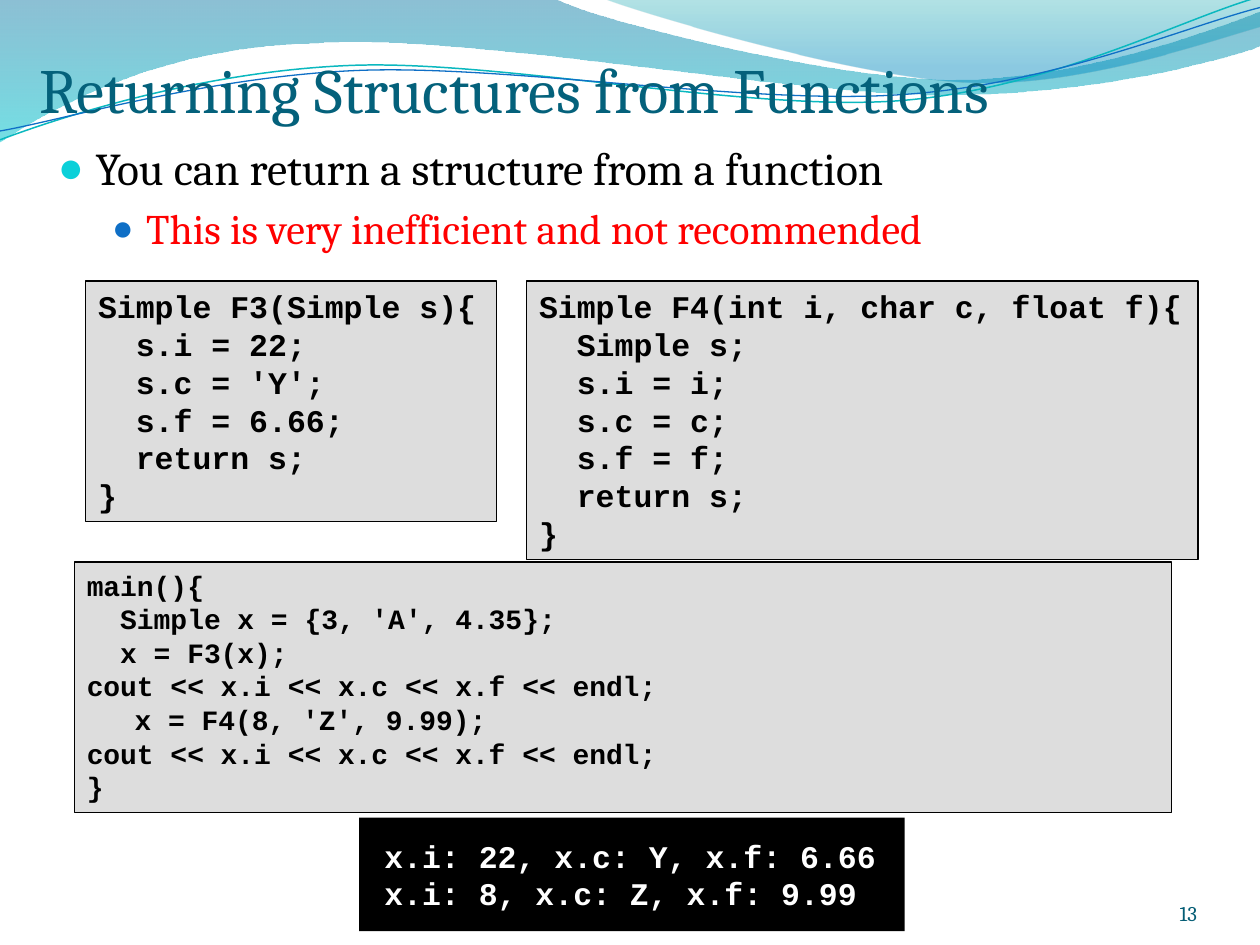
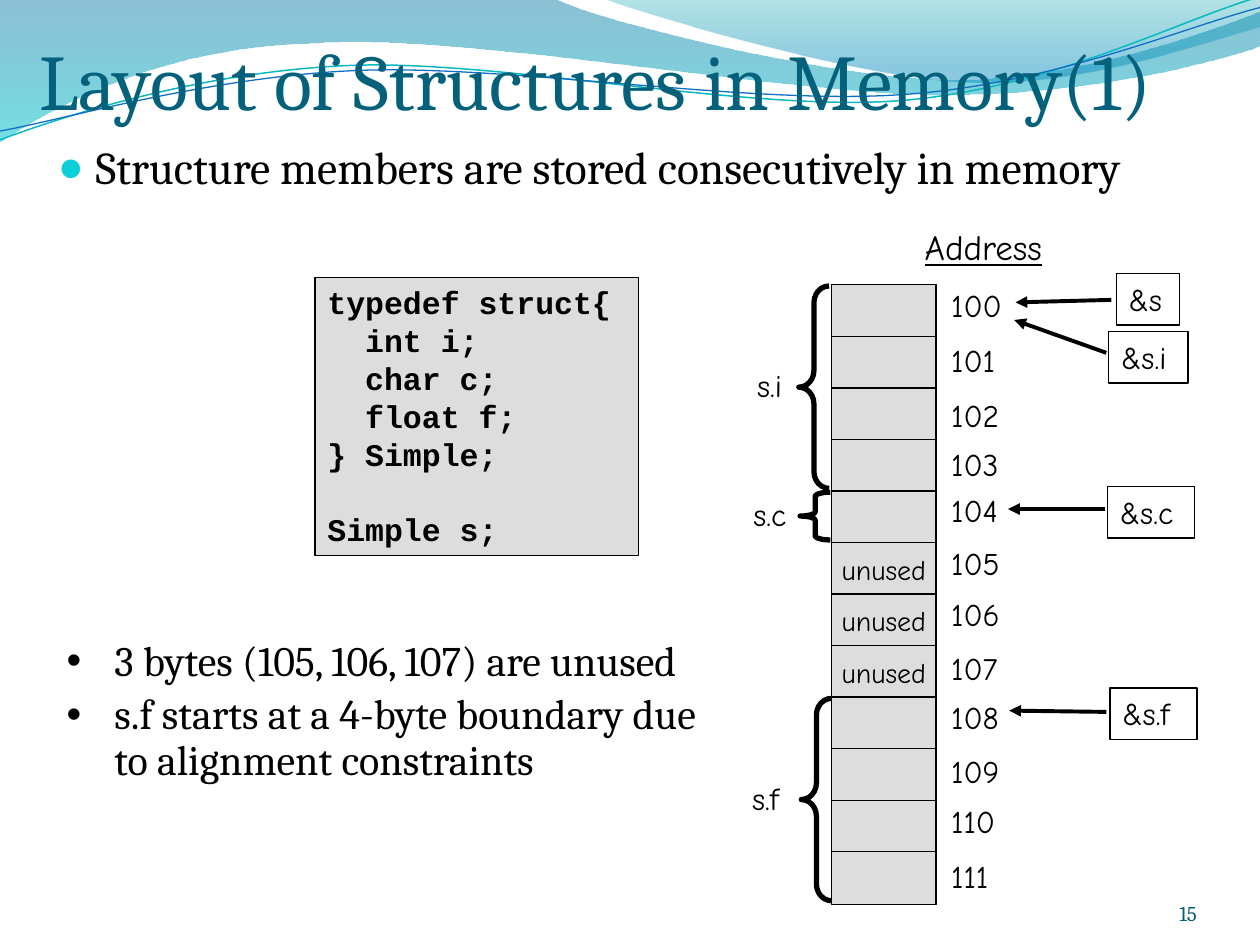
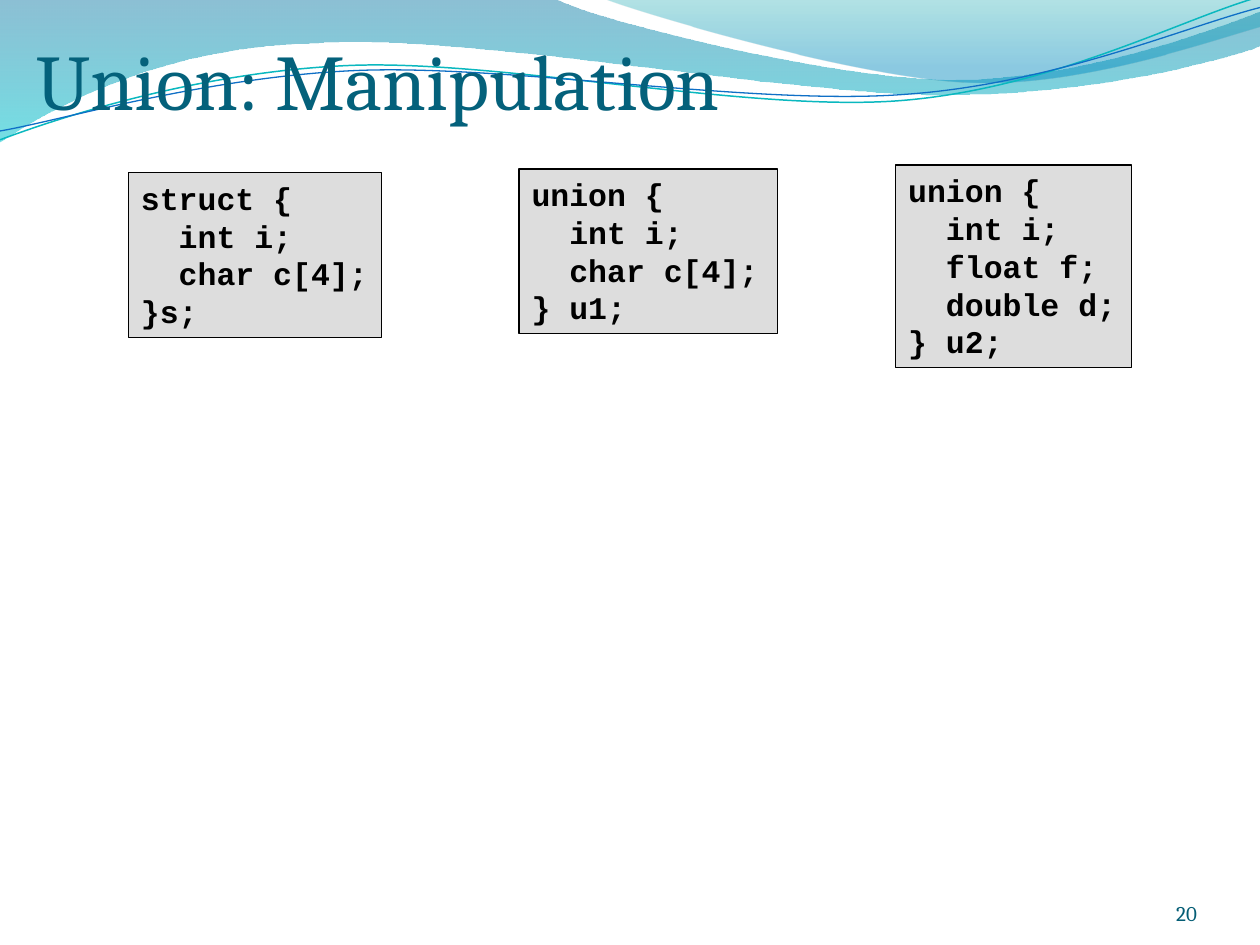
import math

from lxml import etree
from pptx import Presentation
from pptx.dml.color import RGBColor
from pptx.enum.shapes import MSO_CONNECTOR, MSO_SHAPE
from pptx.enum.text import MSO_ANCHOR, MSO_AUTO_SIZE, PP_ALIGN
from pptx.oxml.ns import qn
from pptx.util import Inches, Pt

RECTANGLE, LEFT_BRACE = MSO_SHAPE.RECTANGLE, MSO_SHAPE.LEFT_BRACE
STRAIGHT = MSO_CONNECTOR.STRAIGHT
LEFT, CENTER, RIGHT = PP_ALIGN.LEFT, PP_ALIGN.CENTER, PP_ALIGN.RIGHT
TOP, MIDDLE, BOTTOM = MSO_ANCHOR.TOP, MSO_ANCHOR.MIDDLE, MSO_ANCHOR.BOTTOM
NO_FIT, GROW = MSO_AUTO_SIZE.NONE, MSO_AUTO_SIZE.SHAPE_TO_FIT_TEXT

SERIF, CODE, HAND = "Cambria", "Courier New", "Comic Neue"
BLACK, WHITE, GRAY, RED = "000000", "FFFFFF", "DDDDDD", "FF0000"
TITLE_COLOR, NUMBER_COLOR = "04617B", "045D75"
AQUA, BLUE = "0BD0D9", "0F6FC6"
INSETS = (0.1, 0.05, 0.1, 0.05)
HANGING = (0.38, -0.38)
TITLE_ONLY, TITLE_AND_BODY = 5, 1
CURVE_TILT = 357.3

# Waves: a start point, then straight (2 numbers) or cubic (6 numbers) steps
BACK_WAVE = [(0, 0), (4.4, -0.01), (4.76, 0.17, 6.64, 0.63, 7.58, 0.63),
             (8.53, 0.63, 9.58, 0.26, 10, 0.09), (10.01, 0.36),
             (9.83, 0.44, 8.7, 0.76, 7.46, 0.75),
             (6.22, 0.75, 3.82, 0.28, 2.57, 0.34),
             (1.29, 0.36, 0.46, 0.83, -0.01, 1.13), (0, 0)]
FRONT_WAVE = [(4.79, -0.01), (5.09, 0.11, 6.82, 0.62, 7.69, 0.65),
              (8.56, 0.69, 9.61, 0.32, 10, 0.21), (10, 0), (4.79, -0.01)]
AQUA_CURVE = [(0, 1.11), (0.48, 0.93, 1.58, 0.57, 2.77, 0.52),
              (3.95, 0.47, 5.93, 0.89, 7.13, 0.8),
              (8.33, 0.71, 9.38, 0.15, 9.98, -0.02)]
BLUE_CURVE = [(0, 1.04), (0.47, 0.96, 1.64, 0.61, 2.83, 0.56),
              (4.03, 0.51, 5.97, 0.84, 7.17, 0.75),
              (8.36, 0.67, 9.41, 0.21, 10, 0.06)]


def color(value):
    return RGBColor.from_string(value)


def inches(values):
    return [Inches(value) for value in values]


def place(shape, box):
    shape.left, shape.top, shape.width, shape.height = inches(box)


def set_indent(paragraph, margin, first):
    properties = paragraph._p.get_or_add_pPr()
    properties.set("marL", str(Inches(margin)))
    properties.set("indent", str(Inches(first)))


def set_bullet(paragraph, mark, bullet_color=BLACK, percent=100):
    properties = paragraph._p.get_or_add_pPr()
    holder = etree.SubElement(properties, qn("a:buClr"))
    etree.SubElement(holder, qn("a:srgbClr"), val=bullet_color)
    etree.SubElement(properties, qn("a:buSzPct"), val=str(percent * 1000))
    etree.SubElement(properties, qn("a:buFont"), typeface="Arial")
    etree.SubElement(properties, qn("a:buChar"), char=mark)


def write_text(shape, lines, font=SERIF, size=18, ink=BLACK, bold=False,
               underline=False, align=LEFT, anchor=TOP, insets=INSETS,
               wrap=True, fit=NO_FIT, indent=None, before=0, spacing=None):
    frame = shape.text_frame
    frame.word_wrap, frame.auto_size, frame.vertical_anchor = wrap, fit, anchor
    (frame.margin_left, frame.margin_top,
     frame.margin_right, frame.margin_bottom) = inches(insets)
    frame.text = "\n".join(lines)
    for paragraph in frame.paragraphs:
        paragraph.alignment = align
        paragraph.space_before = Pt(before)
        if spacing:
            paragraph.line_spacing = spacing
        if indent:
            set_indent(paragraph, *indent)
        for run in paragraph.runs:
            run.font.name, run.font.size = font, Pt(size)
            run.font.bold, run.font.underline = bold, underline
            run.font.color.rgb = color(ink)
    return frame.paragraphs


# Basic parts: the parent is a slide or a group
def add_panel(parent, box, kind=RECTANGLE, fill=None, line=BLACK, width=0.75):
    shape = parent.shapes.add_shape(kind, *inches(box))
    shape.shadow.inherit = False
    if fill:
        shape.fill.solid()
        shape.fill.fore_color.rgb = color(fill)
    else:
        shape.fill.background()
    if line:
        shape.line.color.rgb = color(line)
        shape.line.width = Pt(width)
    else:
        shape.line.fill.background()
    return shape


def add_label(parent, box, text, **text_format):
    label = parent.shapes.add_textbox(*inches(box))
    return write_text(label, [text], **text_format)


def add_arrow(parent, start, end):
    arrow = parent.shapes.add_connector(STRAIGHT, *inches(start + end))
    arrow.line.color.rgb = color(BLACK)
    arrow.line.width = Pt(2.25)
    properties = arrow._element.spPr
    etree.SubElement(properties.find(qn("a:ln")), qn("a:tailEnd"), type="triangle")
    etree.SubElement(properties, qn("a:effectLst"))


# Wave decoration, shared through the slide master
def add_outline(parent, steps, closed):
    anchors = [inches(step[-2:]) for step in steps]
    builder = parent.shapes.build_freeform(*anchors[0], scale=1.0)
    builder.add_line_segments(anchors[1:], close=closed)
    shape = builder.convert_to_shape()
    shape.shadow.inherit = False
    segments = list(shape._element.spPr.iter(qn("a:lnTo")))
    for segment, step in zip(segments, steps[1:]):
        if len(step) == 6:
            segment.tag = qn("a:cubicBezTo")
            for index, start in enumerate((0, 2)):
                x, y = inches(step[start:start + 2])
                point = etree.Element(qn("a:pt"), x=str(x - shape.left),
                                      y=str(y - shape.top))
                segment.insert(index, point)
    return shape


def add_wave(parent, steps, stops):
    shape = add_outline(parent, steps, True)
    shape.line.fill.background()
    shape.fill.gradient()
    shape.fill.gradient_angle = 270
    for stop, (position, value, _) in zip(shape.fill.gradient_stops, stops):
        stop.position = position
        stop.color.rgb = color(value)
    for node, (_, _, opacity) in zip(shape._element.spPr.iter(qn("a:srgbClr")), stops):
        etree.SubElement(node, qn("a:alpha"), val=str(opacity * 1000))
    return shape


def level_step(step, center):
    """Turn a step back by the tilt, so that the rotated shape lands on it."""
    angle = math.radians(360 - CURVE_TILT)
    sine, cosine = math.sin(angle), math.cos(angle)
    leveled = []
    for x, y in zip(step[::2], step[1::2]):
        across, down = x - center[0], y - center[1]
        leveled += [center[0] + across * cosine - down * sine,
                    center[1] + across * sine + down * cosine]
    return leveled


def add_curve(parent, steps, center, line, width):
    shape = add_outline(parent, [level_step(step, center) for step in steps], False)
    shape.rotation = CURVE_TILT
    shape.fill.background()
    shape.line.color.rgb = color(line)
    shape.line.width = Pt(width)


def decorate_master(presentation, slide):
    back = add_wave(slide, BACK_WAVE, [(0, "0074A1", 45), (1, "00C6CF", 55)])
    front = add_wave(slide, FRONT_WAVE, [(0, "00A1A9", 30), (0.8, "008BBF", 45)])
    curves = slide.shapes.add_group_shape()
    add_curve(curves, AQUA_CURVE, (4.99, 0.57), "0AB8BF", 0.85)
    add_curve(curves, BLUE_CURVE, (5, 0.59), BLUE, 0.75)
    tree = presentation.slide_master.shapes._spTree
    identity = 101
    for index, part in enumerate((back, front, curves)):
        for properties in part._element.iter(qn("p:cNvPr")):
            properties.set("id", str(identity))
            identity += 1
        tree.insert(2 + index, part._element)


# Slide frame: title and number
def add_slide(presentation, layout, title, number, box, size=45):
    slide = presentation.slides.add_slide(presentation.slide_layouts[layout])
    place(slide.shapes.title, box)
    write_text(slide.shapes.title, [title], size=size, ink=TITLE_COLOR,
               anchor=BOTTOM, insets=(0, 0.05, 0, 0))
    add_label(slide, (8.67, 6.95, 0.83, 0.4), str(number), size=12,
              ink=NUMBER_COLOR, align=RIGHT, anchor=BOTTOM, insets=(0, 0, 0, 0))
    return slide


def fill_body(slide, box, lines, spacing=None):
    body = slide.placeholders[1]
    place(body, box)
    paragraphs = write_text(body, lines, size=26, indent=(0.3, -0.3),
                            before=5.2, spacing=spacing)
    set_bullet(paragraphs[0], "●", AQUA, 95)
    for paragraph in paragraphs[1:]:
        paragraph.level = 1
        paragraph.space_before = Pt(4.8)
        set_indent(paragraph, 0.7, -0.27)
        set_bullet(paragraph, "●", BLUE, 85)
        paragraph.runs[0].font.size = Pt(24)
        paragraph.runs[0].font.color.rgb = color(RED)


def add_code(slide, box, lines, size=18):
    panel = add_panel(slide, box, fill=GRAY)
    return write_text(panel, lines, font=CODE, size=size, bold=True,
                      indent=HANGING, fit=GROW)


def add_console(slide, box, lines):
    panel = add_panel(slide, box, fill=BLACK, line=None)
    write_text(panel, lines, font=CODE, ink=WHITE, bold=True, fit=GROW,
               insets=(0.2, 0.15, 0.2, 0.15))


# Memory map: byte cells, addresses, member braces and pointers
def add_memory_map(slide, box):
    left, top, width, height = box
    group = slide.shapes.add_group_shape()
    first, unused, cell_height = 100, (105, 106, 107), 0.42
    address_tops = [-0.04, 0.4, 0.83, 1.22, 1.59, 2.01,
                    2.41, 2.84, 3.23, 3.66, 4.06, 4.49]
    pitch = (height - cell_height) / (len(address_tops) - 1)
    hand = {"font": HAND, "wrap": False}
    heading = (left + 0.56, top - 0.52, 1.29, 0.43)
    add_label(group, heading, "Address", size=20, underline=True,
              align=CENTER, fit=GROW, **hand)
    for row, address_top in enumerate(address_tops):
        address = first + row
        cell = add_panel(group, (left, top + row * pitch, width, cell_height), fill=GRAY)
        if address in unused:
            write_text(cell, ["unused"], size=16, align=CENTER, anchor=MIDDLE, **hand)
        add_label(group, (left + 0.85, top + address_top, 0.62, 0.4), str(address),
                  fit=GROW, **hand)

    # Member name, label offset and width, first row, rows, brace offset and curvature
    members = [("s.i", 0.69, 0.45, 0, 4, 0.26, 0.55),
               ("s.c", 0.72, 0.51, 4, 1, 0.25, 0.14),
               ("s.f", 0.73, 0.51, 8, 4, 0.24, 0.55)]
    for name, offset, label_width, row, rows, brace_offset, curvature in members:
        y, span = top + row * pitch, rows * pitch
        brace = add_panel(group, (left - brace_offset, y + 0.01, 0.24, span - 0.03),
                          kind=LEFT_BRACE, width=3)
        brace.adjustments[0], brace.adjustments[1] = curvature, 0.5
        add_label(group, (left - offset, y + span / 2 - 0.22, label_width, 0.4), name,
                  fit=GROW, **hand)

    # Pointer name, box, arrow start and end, all from the map's corner
    pointers = [("&s", (2.26, -0.09, 0.5), (2.22, 0.12), (1.46, 0.14)),
                ("&s.i", (2.2, 0.37, 0.63), (2.18, 0.54), (1.45, 0.28)),
                ("&s.c", (2.19, 1.6, 0.69), (2.17, 1.78), (1.4, 1.78)),
                ("&s.f", (2.21, 3.2, 0.69), (2.18, 3.39), (1.41, 3.38))]
    for name, (x, y, box_width), start, end in pointers:
        panel = add_panel(group, (left + x, top + y, box_width, 0.41))
        write_text(panel, [name], fit=GROW, **hand)
        add_arrow(group, (left + start[0], top + start[1]),
                  (left + end[0], top + end[1]))


def build_returning_slide(presentation):
    slide = add_slide(presentation, TITLE_AND_BODY, "Returning Structures from Functions",
                      13, (0.31, 0.24, 9.5, 0.76), size=36)
    fill_body(slide, (0.36, 1.06, 9.24, 1.02),
              ["You can return a structure from a function",
               "This is very inefficient and not recommended"])
    show = "cout << x.i << x.c << x.f << endl;"
    main = add_code(slide, (0.59, 4.46, 8.71, 1.99),
                    ["main(){", "  Simple x = {3, 'A', 4.35};", "  x = F3(x);", show,
                     "x = F4(8, 'Z', 9.99);", show, "}"], size=16)
    set_indent(main[4], 0.38, 0)
    add_console(slide, (2.85, 6.49, 4.33, 0.9),
                ["x.i: 22, x.c: Y, x.f: 6.66", "x.i: 8, x.c: Z, x.f: 9.99"])
    add_code(slide, (0.68, 2.23, 3.26, 1.91),
             ["Simple F3(Simple s){", "  s.i = 22;", "  s.c = 'Y';",
              "  s.f = 6.66;", "  return s;", "}"])
    add_code(slide, (4.18, 2.23, 5.33, 2.21),
             ["Simple F4(int i, char c, float f){", "  Simple s;", "  s.i = i;",
              "  s.c = c;", "  s.f = f;", "  return s;", "}"])
    return slide


def build_layout_slide(presentation):
    slide = add_slide(presentation, TITLE_AND_BODY, "Layout of Structures in Memory(1)",
                      15, (0.31, 0.24, 9.43, 0.76))
    fill_body(slide, (0.36, 1.1, 9.21, 0.99),
              ["Structure members are stored consecutively in memory"], spacing=0.9)
    code = add_code(slide, (2.5, 2.2, 2.57, 2.21),
                    ["typedef struct{", "  int i;", "  char c;", "  float f;",
                     "} Simple;", "Simple s;"])
    code[-1].space_before = Pt(21.6)
    remarks = slide.shapes.add_textbox(*inches((0.43, 5.03, 5.45, 2.14)))
    for paragraph in write_text(
            remarks, ["3 bytes (105, 106, 107) are unused",
                      "s.f starts at a 4-byte boundary due to alignment constraints"],
            size=24, indent=HANGING, before=4.8, spacing=0.9):
        set_bullet(paragraph, "•")
    add_memory_map(slide, (6.6, 2.26, 0.83, 4.92))


def build_union_slide(presentation):
    slide = add_slide(presentation, TITLE_ONLY, "Union: Manipulation", 20,
                      (0.29, 0.24, 9.47, 0.76))
    add_code(slide, (1.02, 1.37, 2.01, 1.31),
             ["struct {", "  int i;", "  char c[4];", "}s;"])
    add_code(slide, (4.12, 1.34, 2.05, 1.31),
             ["union {", "  int i;", "  char c[4];", "} u1;"])
    add_code(slide, (7.11, 1.31, 1.87, 1.61),
             ["union {", "  int i;", "  float f;", "  double d;", "} u2;"])


presentation = Presentation()
presentation.slide_width, presentation.slide_height = inches((10, 7.5))
decorate_master(presentation, build_returning_slide(presentation))
build_layout_slide(presentation)
build_union_slide(presentation)
presentation.save("out.pptx")
